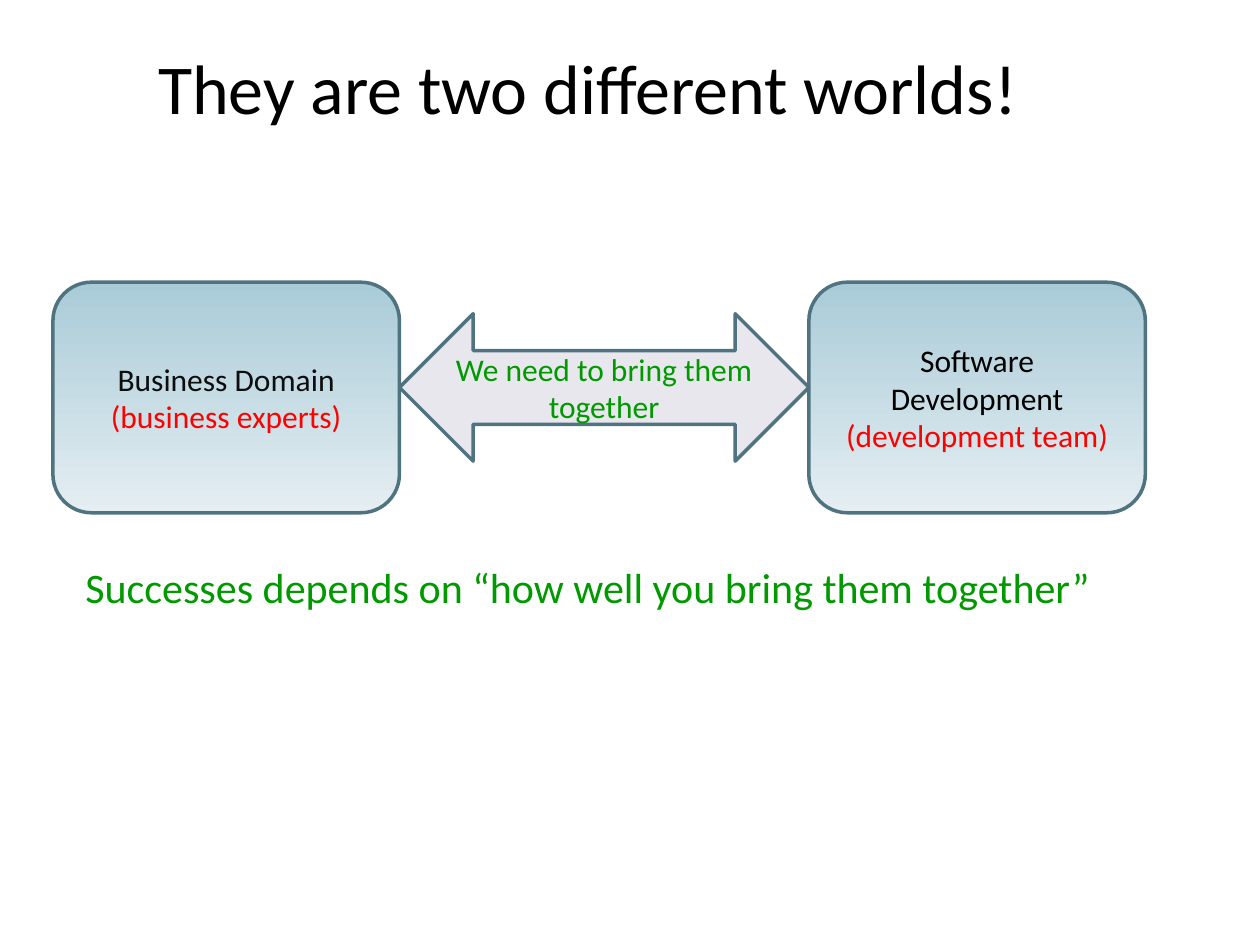
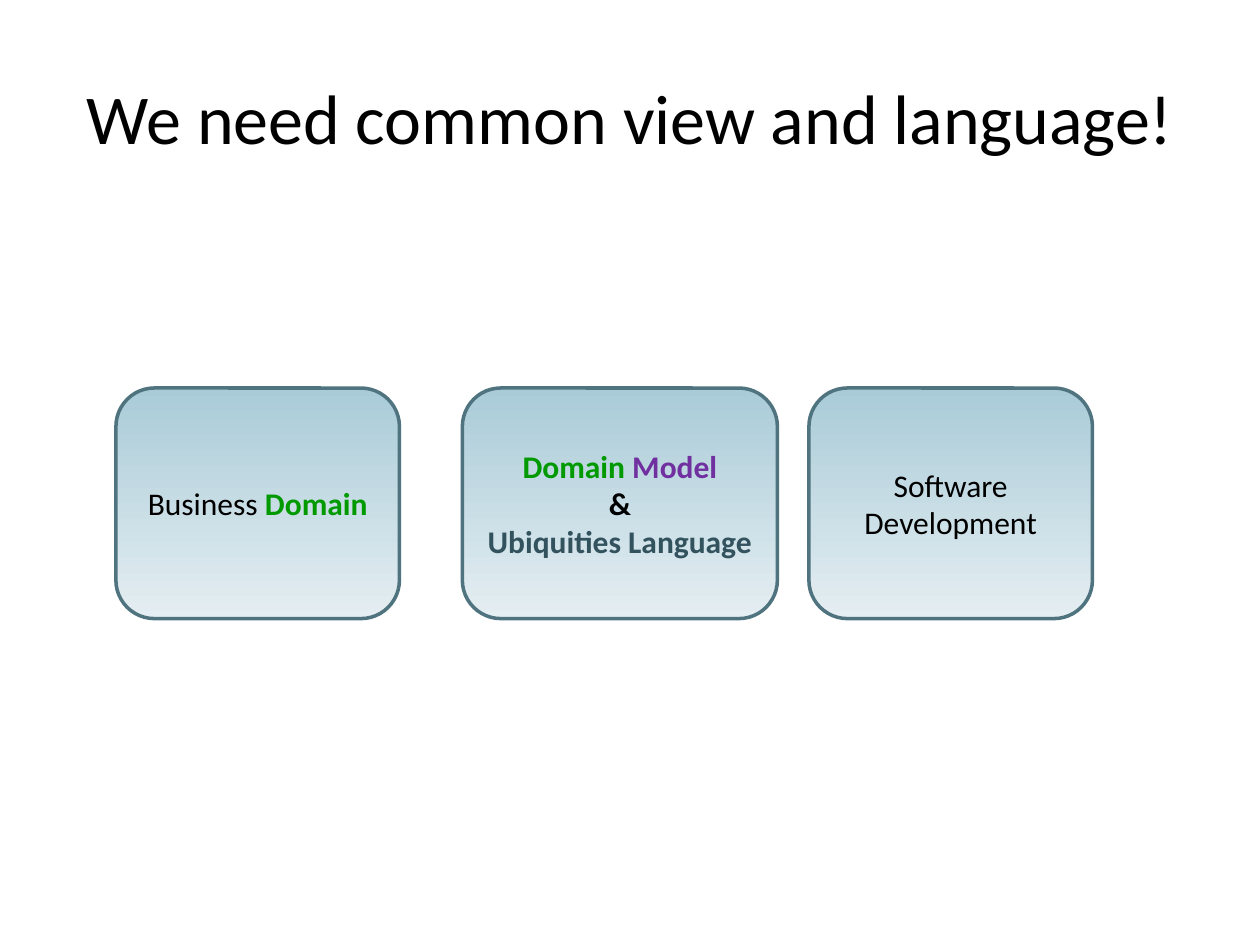
from dataclasses import dataclass

from pptx import Presentation
from pptx.dml.color import RGBColor
from pptx.enum.shapes import MSO_SHAPE
from pptx.enum.text import MSO_ANCHOR, MSO_AUTO_SIZE, PP_ALIGN
from pptx.util import Inches, Pt

ROUNDED = MSO_SHAPE.ROUNDED_RECTANGLE
ARROW = MSO_SHAPE.LEFT_RIGHT_ARROW
CENTER, LEFT = PP_ALIGN.CENTER, PP_ALIGN.LEFT
MIDDLE, TOP = MSO_ANCHOR.MIDDLE, MSO_ANCHOR.TOP
NO_FIT = MSO_AUTO_SIZE.NONE
TITLE_ONLY = 5


@dataclass(frozen=True)
class Theme:
    """Colours, type sizes and shared measures of the deck."""
    font: str = "Calibri"
    title_size: int = 40
    note_size: int = 24
    label_size: int = 18
    black: str = "000000"
    ink: str = "0D0D0D"
    red: str = "FF0000"
    green: str = "009900"
    purple: str = "7030A0"
    slate: str = "32525D"
    outline: str = "4F7480"
    arrow: str = "E8E7ED"
    gradient: tuple = ("A9CBD8", "E5EEF2")
    line_width: int = 2
    box_height: float = 1.83


THEME = Theme()


def rgb(value):
    """Turn a hex string into a colour."""
    return RGBColor.from_string(value)


def inches(*lengths):
    """Convert lengths in inches."""
    return [Inches(n) for n in lengths]


def write(s, lines, size=THEME.label_size, align=CENTER, anchor=MIDDLE):
    """Fill a shape with lines, each a list of (text, colour, bold) runs."""
    tf = s.text_frame
    tf.word_wrap = True
    tf.auto_size = NO_FIT
    tf.vertical_anchor = anchor
    for i, line in enumerate(lines):
        p = tf.paragraphs[0] if i == 0 else tf.add_paragraph()
        p.alignment = align
        for text, color, bold in line:
            r = p.add_run()
            r.text = text
            r.font.name = THEME.font
            r.font.size = Pt(size)
            r.font.bold = bold
            r.font.color.rgb = rgb(color)


def add_slide(prs, title, box):
    """Add a slide with its title placed in the given box."""
    slide = prs.slides.add_slide(prs.slide_layouts[TITLE_ONLY])
    s = slide.shapes.title
    s.left, s.top, s.width, s.height = inches(*box)
    write(s, [[(title, THEME.black, False)]], size=THEME.title_size)
    return slide


def add_outlined(slide, kind, box, lines):
    """Add an outlined preset shape holding centred lines."""
    s = slide.shapes.add_shape(kind, *inches(*box))
    s.shadow.inherit = False
    s.line.color.rgb = rgb(THEME.outline)
    s.line.width = Pt(THEME.line_width)
    write(s, lines)
    return s


def add_world(slide, left, top, width, lines):
    """Add a rounded box shaded from top to bottom."""
    box = (left, top, width, THEME.box_height)
    s = add_outlined(slide, ROUNDED, box, lines)
    s.fill.gradient()
    s.fill.gradient_angle = 270
    for stop, color in zip(s.fill.gradient_stops, THEME.gradient):
        stop.color.rgb = rgb(color)


def add_bridge(slide, box, text):
    """Add the double arrow that joins two worlds."""
    s = add_outlined(slide, ARROW, box, [[(text, THEME.green, False)]])
    s.fill.solid()
    s.fill.fore_color.rgb = rgb(THEME.arrow)


def add_note(slide, box, text):
    """Add the conclusion below the diagram."""
    s = slide.shapes.add_textbox(*inches(*box))
    write(s, [[(text, THEME.green, False)]], size=THEME.note_size, align=LEFT, anchor=TOP)


def two_worlds(prs):
    """Build the slide that joins business and development."""
    slide = add_slide(prs, "They are two different worlds!", (0.83, 0.25, 7.67, 0.88))
    top, left, width, right = 2.24, 0.42, 2.75, 6.42
    add_world(slide, left, top, width, [
        [("Business Domain", THEME.ink, False)],
        [("(business experts)", THEME.red, False)],
    ])
    add_world(slide, right, top, 2.67, [
        [("Software Development", THEME.black, False)],
        [("(development team)", THEME.red, False)],
    ])
    start = left + width
    add_bridge(slide, (start, top + 0.25, right - start, 1.17), "We need to bring them together")
    add_note(slide, (0.58, 4.41, 9, 0.5), "Successes depends on “how well you bring them together”")


def common_language(prs):
    """Build the slide that sets the domain model between both worlds."""
    slide = add_slide(prs, "We need common view and language!", (0.5, 0.3, 9, 1.25))
    worlds = [
        (2.25, [[("Business ", THEME.black, False), ("Domain", THEME.green, True)]]),
        (2.5, [
            [("Domain ", THEME.green, True), ("Model", THEME.purple, True)],
            [("&", THEME.black, True)],
            [("Ubiquities Language", THEME.slate, True)],
        ]),
        (2.25, [[("Software Development", THEME.black, False)]]),
    ]
    left, top, pitch = 0.92, 3.08, 2.75
    for i, (width, lines) in enumerate(worlds):
        add_world(slide, left + i * pitch, top, width, lines)


def main():
    """Build and save the deck."""
    prs = Presentation()
    prs.slide_width, prs.slide_height = inches(10, 7.5)
    two_worlds(prs)
    common_language(prs)
    prs.save("out.pptx")


if __name__ == "__main__":
    main()
